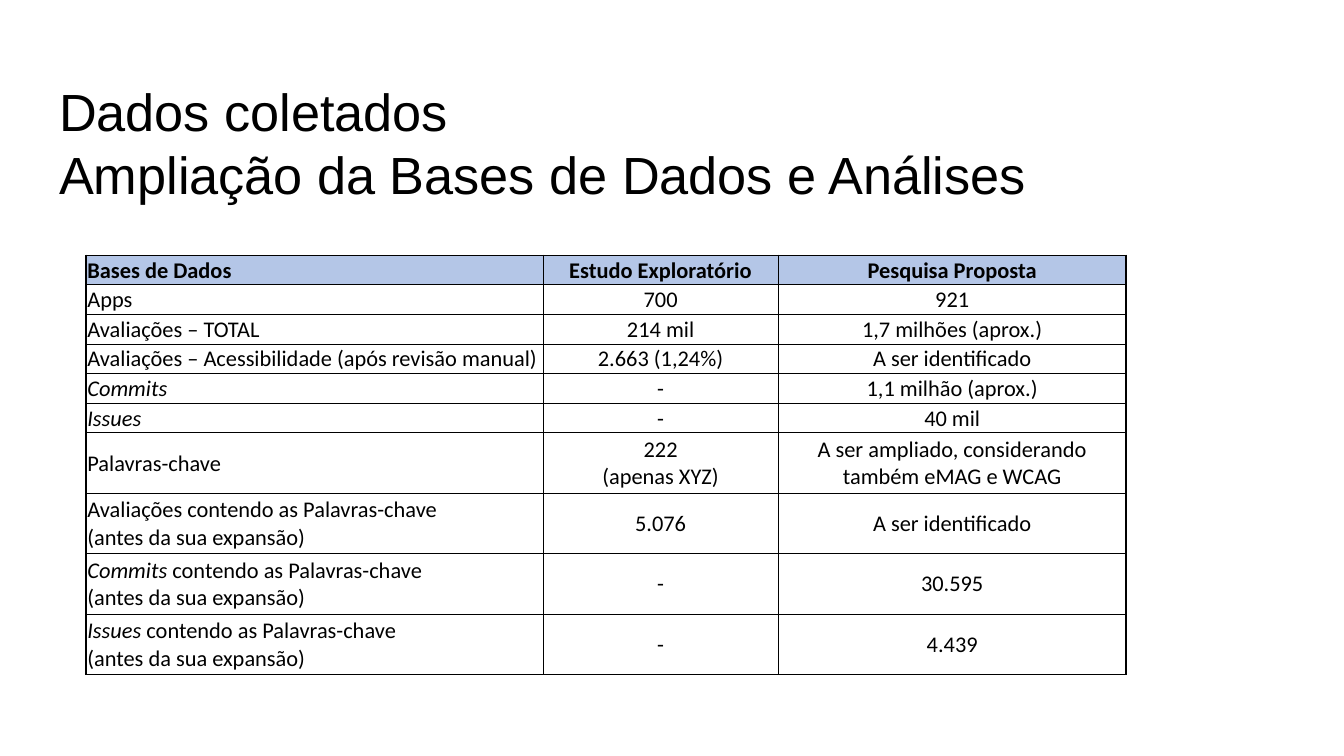
from lxml.etree import SubElement
from pptx import Presentation
from pptx.dml.color import RGBColor
from pptx.enum.text import MSO_ANCHOR as Anchor, PP_ALIGN as Align
from pptx.oxml.ns import qn
from pptx.util import Inches, Pt

BLACK, HEADER_BLUE = "000000", "B4C6E7"


def color(hex_code):
    return RGBColor.from_string(hex_code)


def add_border(cell, side, points):
    """Draw one solid edge of a cell; side is L, R, T or B."""
    edge = SubElement(cell._tc.get_or_add_tcPr(), qn(f"a:ln{side}"), w=str(Pt(points)))
    fill = SubElement(edge, qn("a:solidFill"))
    SubElement(fill, qn("a:srgbClr"), val=BLACK)


prs = Presentation()
prs.slide_width = Inches(10)
prs.slide_height = prs.slide_width * 9 // 16
slide = prs.slides.add_slide(prs.slide_layouts[5])

title = slide.shapes.title
title.left, title.top = Inches(0.34), Inches(0.49)
title.width, title.height = Inches(9.32), Inches(0.63)
heading = title.text_frame
heading.text = "Dados coletados\vAmpliação da Bases de Dados e Análises"
heading.word_wrap = True
heading.vertical_anchor = Anchor.TOP
heading.margin_left = heading.margin_right = Inches(0.1)
heading.margin_top = heading.margin_bottom = Inches(0.1)
line = heading.paragraphs[0]
line.alignment = Align.LEFT
line.font.name, line.font.size = "Arial", Pt(28)
line.font.color.rgb = color(BLACK)

# Asterisks enclose italic words; \n starts a paragraph, \v a line.
rows = [
    ("Bases de Dados", "Estudo Exploratório", "Pesquisa Proposta"),
    ("Apps", "700", "921"),
    ("Avaliações – TOTAL", "214 mil", "1,7 milhões (aprox.)"),
    ("Avaliações – Acessibilidade (após revisão manual)", "2.663 (1,24%)",
     "A ser identificado"),
    ("*Commits*", "-", "1,1 milhão (aprox.)"),
    ("*Issues*", "-", "40 mil"),
    ("Palavras-chave", "222\v(apenas XYZ)",
     "A ser ampliado, considerando também eMAG e WCAG"),
    ("Avaliações contendo as Palavras-chave\n(antes da sua expansão)", "5.076",
     "A ser identificado"),
    ("*Commits* contendo as Palavras-chave\n(antes da sua expansão)", "-", "30.595"),
    ("*Issues* contendo as Palavras-chave\n(antes da sua expansão)", "-", "4.439"),
]
column_widths = [3.4, 1.75, 2.59]
single_rows, single_height, double_height = 6, 0.22, 0.45
last_row, last_column = len(rows) - 1, len(column_widths) - 1

table = slide.shapes.add_table(
    len(rows), len(column_widths), Inches(0.64), Inches(1.9),
    Inches(sum(column_widths)), Inches(3.1)).table
for column, width in zip(table.columns, column_widths):
    column.width = Inches(width)

for r, texts in enumerate(rows):
    table.rows[r].height = Inches(single_height if r < single_rows else double_height)
    for c, text in enumerate(texts):
        cell = table.cell(r, c)
        cell.vertical_anchor = Anchor.MIDDLE
        cell.margin_left = cell.margin_right = cell.margin_top = Inches(0.01)
        cell.margin_bottom = 0

        outer_edges = {"L": c == 0, "R": c == last_column,
                       "T": r == 0, "B": r == last_row}
        for side, is_outer in outer_edges.items():
            add_border(cell, side, 1 if is_outer else 0.5)
        if r == 0:
            cell.fill.solid()
            cell.fill.fore_color.rgb = color(HEADER_BLUE)
        else:
            cell.fill.background()

        cell.text = text.replace("*", "")
        for paragraph, words in zip(cell.text_frame.paragraphs, text.split("\n")):
            if "*" in words:
                paragraph.clear()
                for i, part in enumerate(words.split("*")):
                    if part:
                        run = paragraph.add_run()
                        run.text = part
                        run.font.italic = i % 2 == 1
            paragraph.alignment = Align.CENTER if c else Align.LEFT
            paragraph.font.name, paragraph.font.size = "Calibri", Pt(12)
            paragraph.font.bold = r == 0
            paragraph.font.color.rgb = color(BLACK)

prs.save("out.pptx")
